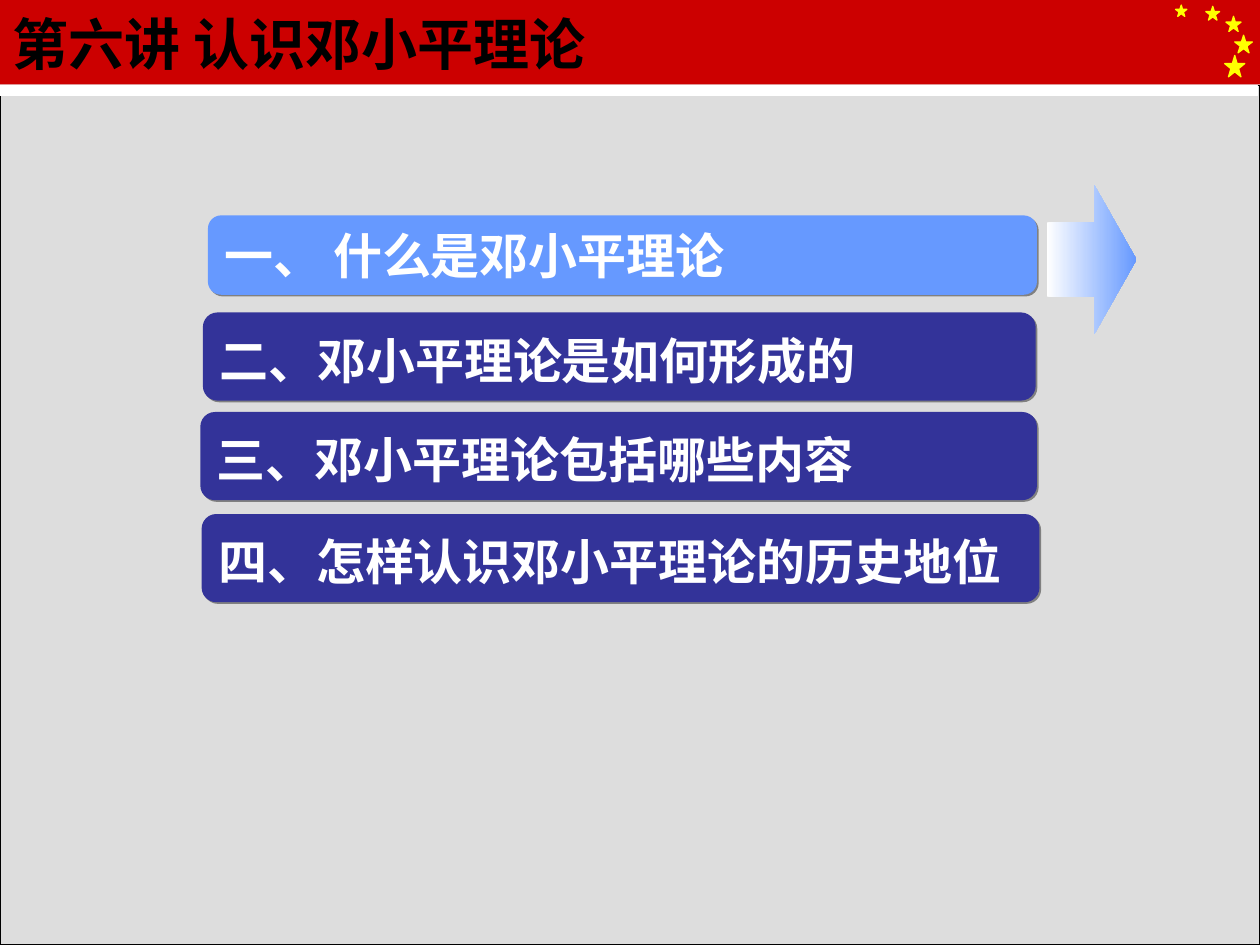
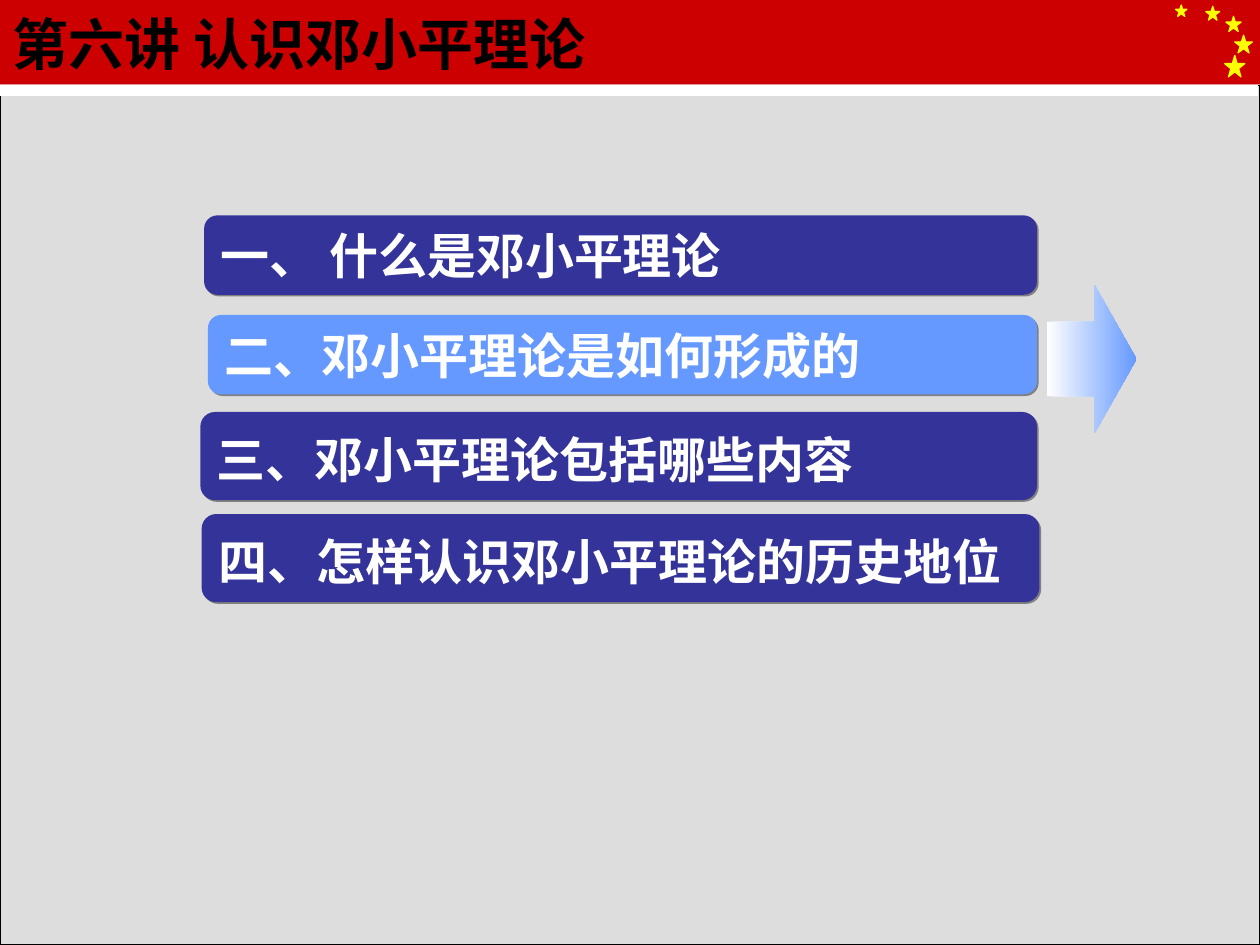
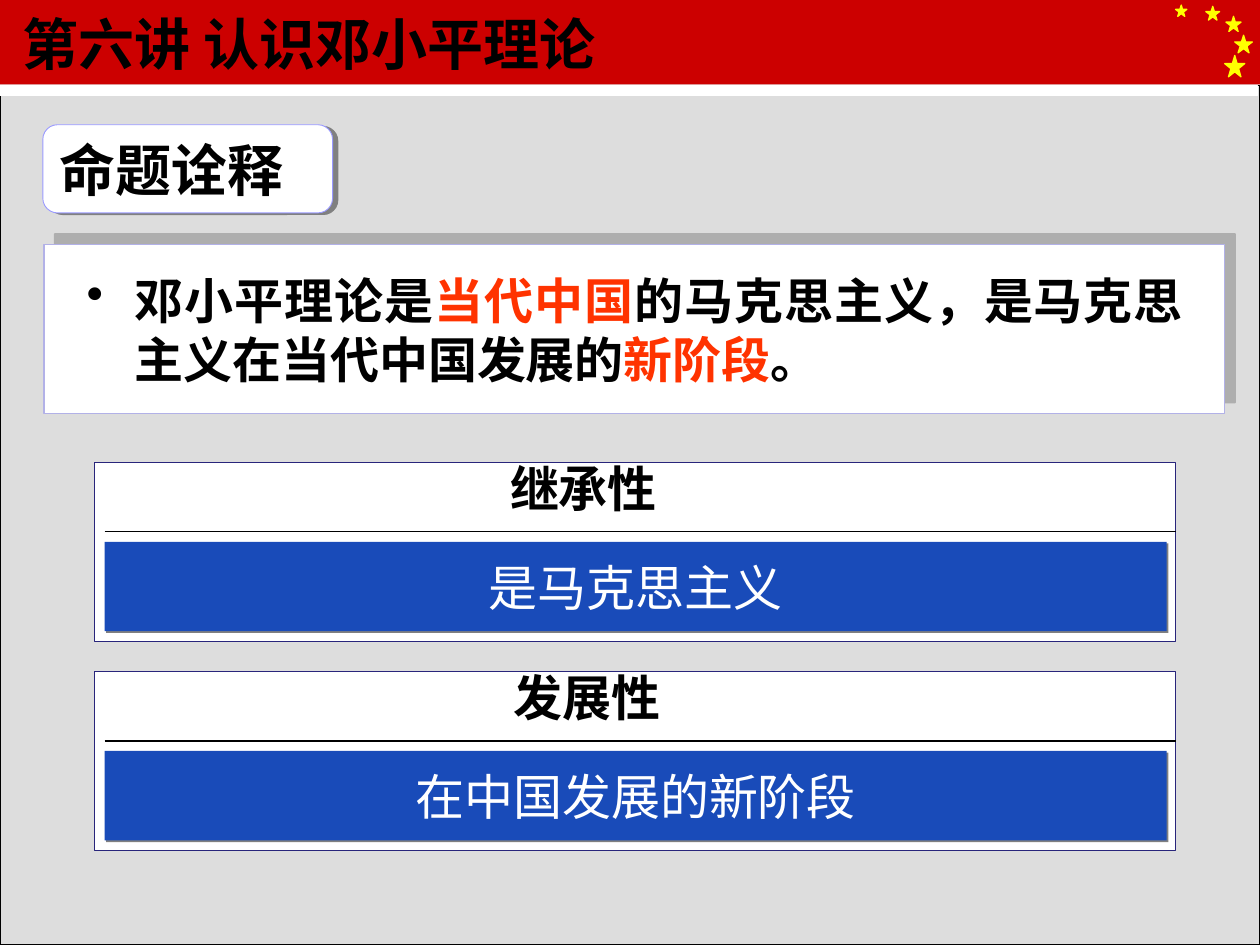
"""Build three lecture slides: two agenda views and one page explaining the thesis."""
import dataclasses
import typing

import lxml.etree
import pptx
import pptx.dml.color
import pptx.enum.shapes
import pptx.enum.text
import pptx.oxml.ns
import pptx.presentation
import pptx.shapes.autoshape
import pptx.slide
import pptx.text.text
import pptx.util

RGB = pptx.dml.color.RGBColor
SHAPE = pptx.enum.shapes.MSO_SHAPE
ALIGN = pptx.enum.text.PP_ALIGN
ANCHOR = pptx.enum.text.MSO_ANCHOR
qn = pptx.oxml.ns.qn

BLACK = RGB(0x00, 0x00, 0x00)
WHITE = RGB(0xFF, 0xFF, 0xFF)
PAGE = RGB(0xEA, 0xEA, 0xEA)
CANVAS = RGB(0xDD, 0xDD, 0xDD)
FLAG_RED = RGB(0xCC, 0x00, 0x00)
STAR_YELLOW = RGB(0xFF, 0xFF, 0x00)
TOPIC_BLUE = RGB(0x33, 0x33, 0x99)
ACTIVE_BLUE = RGB(0x66, 0x99, 0xFF)
ANSWER_BLUE = RGB(0x19, 0x4B, 0xB9)
CARD_EDGE = RGB(0x28, 0x25, 0x7B)
THESIS_EDGE = RGB(0xB2, 0xB1, 0xE7)
HEADING_EDGE = RGB(0x99, 0x99, 0xFF)
EMPHASIS = RGB(0xFF, 0x33, 0x00)
SHADOW_GREY = RGB(0x80, 0x80, 0x80)

HAN_FONT = "Noto Sans CJK SC"
SERIF_FONT = "Times New Roman"

WIDTH = pptx.util.Inches(10)
HEIGHT = pptx.util.Inches(7.5)
COLUMN = WIDTH // 100
ROW = HEIGHT // 75


class Box(typing.NamedTuple):
    """A rectangle in grid columns and rows."""
    left: float
    top: float
    width: float
    height: float

    def emu(self) -> tuple[int, int, int, int]:
        """Return left, top, width and height as lengths."""
        return (round(self.left * COLUMN), round(self.top * ROW),
                round(self.width * COLUMN), round(self.height * ROW))


class Shadow(typing.NamedTuple):
    """A sharp shadow: distance in points, direction in degrees, opacity in percent."""
    distance: float
    direction: int
    opacity: int = 100


@dataclasses.dataclass(frozen=True)
class Style:
    """Type of a piece of text."""
    size: float
    color: RGB
    font: str = SERIF_FONT
    bold: bool = True


@dataclasses.dataclass(frozen=True)
class Topic:
    """An agenda entry and its place while it is not the current one."""
    text: str
    box: Box


@dataclasses.dataclass(frozen=True)
class Aspect:
    """A side of the thesis with its explanation."""
    name: str
    answer: str
    name_left: float


TITLE = "第六讲 认识邓小平理论"
TITLE_STYLE = Style(32, BLACK, HAN_FONT)
TOPIC_STYLE = Style(28, WHITE)
NAME_STYLE = Style(28, BLACK)
ANSWER_STYLE = Style(28, WHITE, bold=False)

SOFT_EDGE = Shadow(1.4, 45)
STARS = (
    Box(97.2, 4.4, 1.6, 1.7),
    Box(95.7, 0.5, 1.1, 1.1),
    Box(93.3, 0.4, 0.9, 0.9),
    Box(97.3, 1.3, 1.2, 1.2),
    Box(98, 2.8, 1.4, 1.4),
)

SHORT_TOPIC = 6.3
ACTIVE_BOX = Box(16.5, 17.1, 65.8, SHORT_TOPIC)
ACTIVE_PITCH = 7.9
TOPICS = (
    Topic("一、 什么是邓小平理论", Box(16.2, 17.1, 66.1, SHORT_TOPIC)),
    Topic("二、邓小平理论是如何形成的", Box(16.1, 24.8, 66.1, 7)),
    Topic("三、邓小平理论包括哪些内容", Box(15.9, 32.7, 66.4, 7)),
    Topic("四、怎样认识邓小平理论的历史地位", Box(16, 40.8, 66.5, 7)),
)

THESIS = (
    ("邓小平理论是", BLACK),
    ("当代中国", EMPHASIS),
    ("的马克思主义，是马克思主义在当代中国发展的", BLACK),
    ("新阶段", EMPHASIS),
    ("。", BLACK),
)
ASPECTS = (
    Aspect("继承性", "是马克思主义", 39.5),
    Aspect("发展性", "在中国发展的新阶段", 39.8),
)
ASPECT_TOP = 36.7
ASPECT_PITCH = 16.6


def style_run(run: pptx.text.text._Run, style: Style) -> None:
    """Format a run, for Latin and Han characters alike."""
    run.font.size = pptx.util.Pt(style.size)
    run.font.bold = style.bold
    run.font.color.rgb = style.color
    run.font.name = style.font
    han = lxml.etree.Element(qn("a:ea"), typeface=HAN_FONT)
    run.font._element.find(qn("a:latin")).addnext(han)


def write(frame: pptx.text.text.TextFrame, text: str, style: Style,
          align: ALIGN = ALIGN.LEFT, wrap: bool = True) -> None:
    """Put one styled paragraph into a frame."""
    frame.text = text
    frame.word_wrap = wrap
    frame.auto_size = pptx.enum.text.MSO_AUTO_SIZE.NONE
    frame.vertical_anchor = ANCHOR.MIDDLE
    frame.paragraphs[0].alignment = align
    style_run(frame.paragraphs[0].runs[0], style)


def cast_shadow(shape: pptx.shapes.autoshape.Shape, shadow: Shadow) -> None:
    """Give a shape an outer shadow."""
    effects = shape.element.spPr.find(qn("a:effectLst"))
    outer = lxml.etree.SubElement(
        effects, qn("a:outerShdw"), blurRad="0", dist=str(pptx.util.Pt(shadow.distance)),
        dir=str(shadow.direction * 60000), algn="ctr", rotWithShape="0")
    color = lxml.etree.SubElement(outer, qn("a:srgbClr"), val=str(SHADOW_GREY))
    lxml.etree.SubElement(color, qn("a:alpha"), val=str(shadow.opacity * 1000))


def draw(slide: pptx.slide.Slide, kind: SHAPE, box: Box, fill: RGB,
         edge: RGB | None = None, weight: float = 0.75,
         shadow: Shadow | None = None) -> pptx.shapes.autoshape.Shape:
    """Draw a filled preset shape."""
    shape = slide.shapes.add_shape(kind, *box.emu())
    shape.shadow.inherit = False
    shape.fill.solid()
    shape.fill.fore_color.rgb = fill
    if edge is None:
        shape.line.fill.background()
    else:
        shape.line.color.rgb = edge
        shape.line.width = pptx.util.Pt(weight)
    if shadow:
        cast_shadow(shape, shadow)
    return shape


def furnish_layout(layout: pptx.slide.SlideLayout, slide: pptx.slide.Slide) -> None:
    """Draw the band, stars and canvas on a slide and hand them to its layout."""
    layout.background.fill.solid()
    layout.background.fill.fore_color.rgb = PAGE
    for placeholder in list(layout.placeholders):
        if placeholder.placeholder_format.idx != 0:
            placeholder.element.getparent().remove(placeholder.element)
    furniture = [draw(slide, SHAPE.RECTANGLE, Box(0, 0, 100, 6.7), FLAG_RED)]
    furniture += [draw(slide, SHAPE.STAR_5_POINT, star, STAR_YELLOW, STAR_YELLOW)
                  for star in STARS]
    furniture += [
        draw(slide, SHAPE.RECTANGLE, Box(0, 6.8, 100, 68.2), CANVAS, BLACK),
        draw(slide, SHAPE.RECTANGLE, Box(0, 6.8, 99.8, 0.8), WHITE, WHITE),
    ]
    for piece in furniture:
        layout.shapes.element.append(piece.element)


def set_title(slide: pptx.slide.Slide, box: Box) -> None:
    """Place and format the slide title."""
    title = slide.shapes.title
    title.left, title.top, title.width, title.height = box.emu()
    write(title.text_frame, TITLE, TITLE_STYLE)


def draw_topic(slide: pptx.slide.Slide, text: str, box: Box, fill: RGB) -> None:
    """Draw one agenda bar."""
    bar = draw(slide, SHAPE.ROUNDED_RECTANGLE, box, fill, shadow=SOFT_EDGE)
    write(bar.text_frame, text, TOPIC_STYLE)
    if box.height > SHORT_TOPIC:
        bar.text_frame.margin_top = ROW


def draw_pointer(slide: pptx.slide.Slide, active: Box) -> None:
    """Draw the fading arrow beside the current topic."""
    pointer = draw(slide, SHAPE.RIGHT_ARROW, Box(83.1, active.top - 2.4, 7.1, 11.8), WHITE)
    pointer.adjustments[1] = 0.47
    pointer.fill.gradient()
    pointer.fill.gradient_angle = 0
    for stop, color in zip(pointer.fill.gradient_stops, (WHITE, ACTIVE_BLUE)):
        stop.color.rgb = color


def build_agenda(slide: pptx.slide.Slide, current: int) -> None:
    """Fill an agenda slide with one topic highlighted."""
    set_title(slide, Box(0, 0, 75, 6.8))
    active = ACTIVE_BOX._replace(top=ACTIVE_BOX.top + current * ACTIVE_PITCH)
    draw_pointer(slide, active)
    for index, topic in enumerate(TOPICS):
        if index == current:
            draw_topic(slide, topic.text, active, ACTIVE_BLUE)
        else:
            draw_topic(slide, topic.text, topic.box, TOPIC_BLUE)


def draw_thesis(slide: pptx.slide.Slide) -> None:
    """Draw the panel with the bulleted thesis."""
    draw(slide, SHAPE.RECTANGLE, Box(3.5, 19.4, 93.7, 13.4), WHITE, THESIS_EDGE,
         shadow=Shadow(8.5, 315, 50))
    frame = slide.shapes.add_textbox(*Box(5.9, 21, 89, 11).emu()).text_frame
    frame.word_wrap = True
    thesis = frame.paragraphs[0]
    thesis.alignment = ALIGN.JUSTIFY
    properties = thesis._p.get_or_add_pPr()
    indent = round(3.8 * COLUMN)
    properties.set("marL", str(indent))
    properties.set("indent", str(-indent))
    bullet_color = lxml.etree.SubElement(properties, qn("a:buClr"))
    lxml.etree.SubElement(bullet_color, qn("a:srgbClr"), val=str(BLACK))
    lxml.etree.SubElement(properties, qn("a:buChar"), char="•")
    for text, color in THESIS:
        phrase = thesis.add_run()
        phrase.text = text
        style_run(phrase, Style(28, color, HAN_FONT))


def draw_aspect(slide: pptx.slide.Slide, aspect: Aspect, top: float) -> None:
    """Draw a card with a name, a rule and an answer bar."""
    draw(slide, SHAPE.RECTANGLE, Box(7.5, top, 85.8, 14.2), WHITE, CARD_EDGE, 0.25)
    left, rule_top, length, _ = Box(8.3, top + 5.5, 85, 0).emu()
    rule = slide.shapes.add_connector(pptx.enum.shapes.MSO_CONNECTOR.STRAIGHT,
                                      left, rule_top, left + length, rule_top)
    rule.line.color.rgb = BLACK
    rule.line.width = pptx.util.Pt(0.75)
    lxml.etree.SubElement(rule.element.spPr, qn("a:effectLst"))
    name = slide.shapes.add_textbox(*Box(aspect.name_left, top - 0.8, 13.6, 5.7).emu())
    write(name.text_frame, aspect.name, NAME_STYLE, wrap=False)
    answer = draw(slide, SHAPE.RECTANGLE, Box(8.3, top + 6.3, 84.3, 7.1), ANSWER_BLUE,
                  shadow=SOFT_EDGE)
    write(answer.text_frame, aspect.answer, ANSWER_STYLE, ALIGN.CENTER, wrap=False)


def build_thesis(slide: pptx.slide.Slide) -> None:
    """Fill the slide that explains the thesis."""
    set_title(slide, Box(0.8, 0, 74.4, 6.8))
    heading = draw(slide, SHAPE.ROUNDED_RECTANGLE, Box(3.4, 9.9, 23, 7), WHITE,
                   HEADING_EDGE, 0.5, Shadow(3.2, 18))
    write(heading.text_frame, "命题诠释", TITLE_STYLE)
    draw_thesis(slide)
    for index, aspect in enumerate(ASPECTS):
        draw_aspect(slide, aspect, ASPECT_TOP + index * ASPECT_PITCH)


def main() -> None:
    """Create and save the presentation."""
    deck = pptx.Presentation()
    deck.slide_width, deck.slide_height = WIDTH, HEIGHT
    layout = deck.slide_layouts.get_by_name("Title Only")
    first, second, third = (deck.slides.add_slide(layout) for _ in range(3))
    furnish_layout(layout, first)
    build_agenda(first, 0)
    build_agenda(second, 1)
    build_thesis(third)
    deck.save("out.pptx")


if __name__ == "__main__":
    main()
